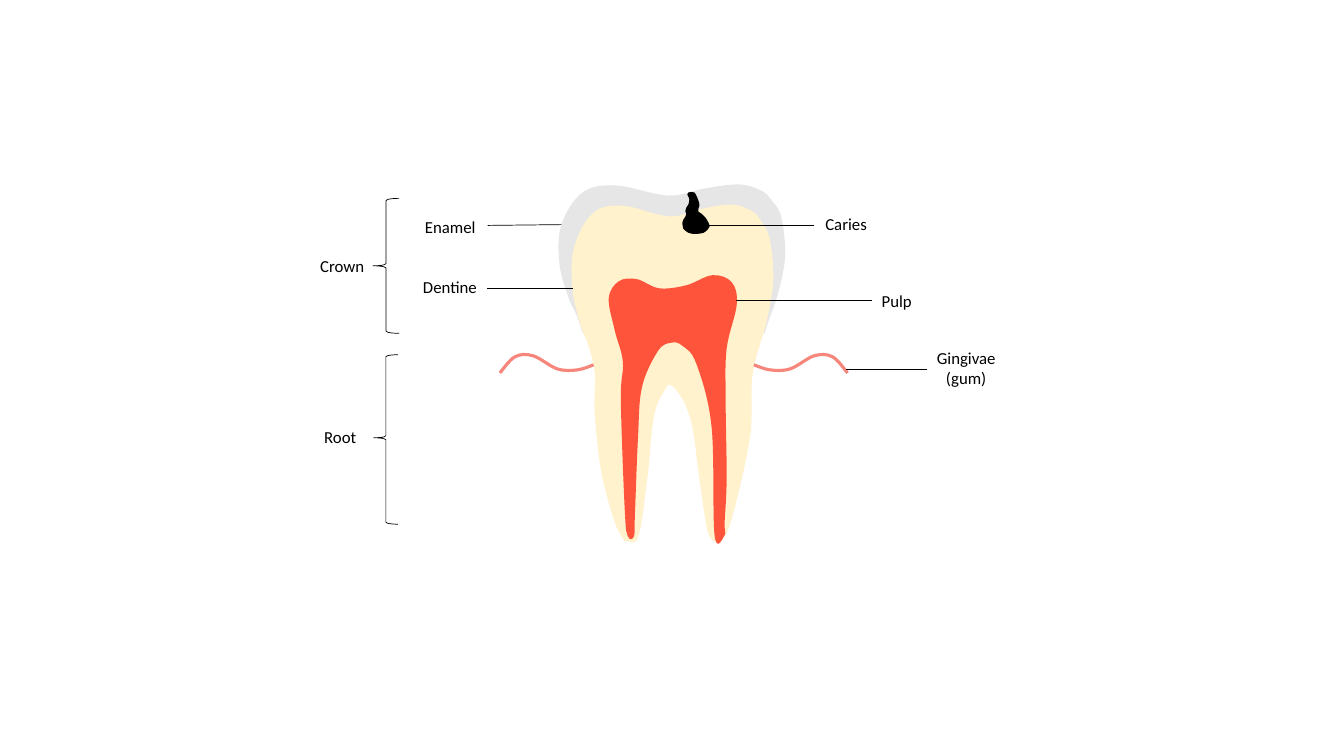
from lxml import etree
from pptx import Presentation
from pptx.dml.color import RGBColor
from pptx.enum.shapes import MSO_CONNECTOR, MSO_SHAPE
from pptx.enum.text import MSO_AUTO_SIZE, PP_ALIGN
from pptx.oxml.ns import qn
from pptx.util import Cm, Pt

STRAIGHT = MSO_CONNECTOR.STRAIGHT
RECTANGLE, LEFT_BRACE = MSO_SHAPE.RECTANGLE, MSO_SHAPE.LEFT_BRACE
LEFT, CENTER = PP_ALIGN.LEFT, PP_ALIGN.CENTER
FIT_TEXT = MSO_AUTO_SIZE.SHAPE_TO_FIT_TEXT

THEME = {
    "font": "Calibri", "label_size": Pt(12),
    "thin": Pt(0.5), "gum_width": Pt(2.25),
    "ink": RGBColor(0x00, 0x00, 0x00),
    "background": RGBColor(0xFF, 0xFF, 0xFF),
    "enamel": RGBColor(0xE7, 0xE6, 0xE6),
    "dentine": RGBColor(0xFF, 0xF2, 0xCC),
    "pulp": RGBColor(0xFE, 0x54, 0x3B),
    "gum": RGBColor(0xF6, 0x86, 0x7B),
}
UNIT = Cm(0.0254)  # one step of the outline grid

prs = Presentation()
prs.slide_width, prs.slide_height = Cm(33.87), Cm(19.05)
slide = prs.slides.add_slide(prs.slide_layouts[6])
shapes = slide.shapes


def add_label(text, left, top, width, height=0.76, align=LEFT):
    label = shapes.add_textbox(Cm(left), Cm(top), Cm(width), Cm(height))
    frame = label.text_frame
    frame.word_wrap = True
    frame.auto_size = FIT_TEXT
    frame.text = text
    for paragraph in frame.paragraphs:
        paragraph.alignment = align
        paragraph.font.name = THEME["font"]
        paragraph.font.size = THEME["label_size"]
        paragraph.font.color.rgb = THEME["ink"]


def add_curve(anchors, color, closed=True):
    """Draw a smooth curve through the anchors: filled if closed, a stroke if open."""
    points = [(UNIT * x, UNIT * y) for x, y in anchors]
    if closed:
        points.append(points[0])
    builder = shapes.build_freeform(*points[0], scale=1.0)
    builder.add_line_segments(points[1:], close=False)
    curve = builder.convert_to_shape()
    curve.shadow.inherit = False

    # Turn the straight segments into Bezier segments
    outline = next(curve._element.iter(qn("a:path")))
    knots = [(int(pt.get("x")), int(pt.get("y"))) for pt in outline.iter(qn("a:pt"))]
    before, after = (knots[-2], knots[1]) if closed else (knots[0], knots[-1])
    knots = [before, *knots, after]
    for straight in list(outline.iter(qn("a:lnTo"))):
        outline.remove(straight)
    for a, b, c, d in zip(knots, knots[1:], knots[2:], knots[3:]):
        bezier = etree.SubElement(outline, qn("a:cubicBezTo"))
        handles = ([b[i] + (c[i] - a[i]) / 6 for i in (0, 1)],
                   [c[i] - (d[i] - b[i]) / 6 for i in (0, 1)])
        for x, y in (*handles, c):
            etree.SubElement(bezier, qn("a:pt"), x=str(round(x)), y=str(round(y)))

    if closed:
        etree.SubElement(outline, qn("a:close"))
        curve.fill.solid()
        curve.fill.fore_color.rgb = color
        curve.line.fill.background()
    else:
        curve.fill.background()
        curve.line.color.rgb = color
        curve.line.width = THEME["gum_width"]


# Enamel
tooth_outline = [
    (663, 194), (611, 184), (578, 191), (557, 223), (555, 261), (564, 295),
    (573, 315), (580, 341), (580, 378), (587, 432), (601, 477), (611, 495),
    (616, 498), (629, 493), (639, 436), (646, 381), (657, 358), (665, 352),
    (679, 367), (689, 392), (696, 436), (703, 476), (707, 492), (713, 498),
    (717, 498), (731, 482), (753, 401), (756, 342), (772, 291), (779, 253),
    (775, 215), (765, 198), (755, 189), (733, 183), (699, 187)]
add_curve(tooth_outline, THEME["enamel"])

# Background panels that end the enamel at the gum
for left, top, width, height in [(12.67, 9.04, 8.92, 4.6),
                                 (12.73, 8.41, 9.17, 0.76)]:
    panel = shapes.add_shape(RECTANGLE, Cm(left), Cm(top), Cm(width), Cm(height))
    panel.shadow.inherit = False
    panel.fill.solid()
    panel.fill.fore_color.rgb = THEME["background"]
    panel.line.fill.background()

# Dentine: the tooth outline, narrower and longer
add_curve([(567 + (x - 554) * 0.89, 203 + (y - 183) * 1.06)
           for x, y in tooth_outline], THEME["dentine"])

# Pulp
add_curve([
    (709, 531), (706, 423), (691, 361), (677, 343), (666, 340), (653, 348),
    (637, 384), (633, 435), (630, 510), (629, 532), (623, 532), (620, 508),
    (616, 397), (618, 359), (610, 328), (604, 296), (614, 279), (632, 277),
    (654, 286), (681, 283), (707, 273), (726, 280), (731, 302), (721, 346),
    (720, 397), (721, 475), (719, 518), (719, 531)], THEME["pulp"])

# Gum, mirrored on both sides of the tooth
left_gum = [(496, 370), (511, 354), (529, 353), (553, 366), (573, 367), (589, 362)]
right_gum = [(1337 - x, y) for x, y in left_gum]
for gum in (left_gum, right_gum):
    add_curve(gum, THEME["gum"], closed=False)

# Caries
add_curve([
    (689, 191), (693, 199), (694, 204), (693, 207), (693, 210), (696, 212),
    (700, 216), (703, 221), (704, 225), (702, 228), (698, 231), (692, 232),
    (687, 232), (683, 231), (680, 229), (678, 227), (677, 221), (678, 218),
    (680, 215), (681, 212), (680, 210), (681, 206), (683, 203), (684, 198),
    (683, 195), (682, 193), (683, 191)], THEME["ink"])

# Leader lines: enamel, dentine, caries, pulp, gum
for x1, y1, x2, y2 in [(14.15, 5.66, 12.29, 5.68), (14.43, 7.26, 12.27, 7.26),
                       (20.52, 5.68, 17.6, 5.68), (21.97, 7.57, 18.54, 7.57),
                       (23.37, 9.3, 21.31, 9.3)]:
    leader = shapes.add_connector(STRAIGHT, Cm(x1), Cm(y1), Cm(x2), Cm(y2))
    leader.line.color.rgb = THEME["ink"]
    leader.line.width = THEME["thin"]
    etree.SubElement(leader._element.spPr, qn("a:effectLst"))

# Crown and root braces
for left, top, width, height, tip in [(9.4, 5, 0.66, 3.4, 0.5),
                                      (9.42, 8.94, 0.61, 4.27, 0.49)]:
    brace = shapes.add_shape(LEFT_BRACE, Cm(left), Cm(top), Cm(width), Cm(height))
    brace.adjustments[1] = tip
    brace.shadow.inherit = False
    brace.fill.background()
    brace.line.color.rgb = THEME["ink"]
    brace.line.width = THEME["thin"]

# Labels
add_label("Enamel", 10.46, 5.33, 1.88)
add_label("Dentine", 10.41, 6.86, 1.88)
add_label("Pulp", 21.97, 7.19, 1.47)
add_label("Caries", 20.55, 5.26, 1.63)
add_label("Gingivae\n(gum)", 23.32, 8.64, 2.06, height=1.27, align=CENTER)
add_label("Crown", 7.82, 6.32, 1.85)
add_label("Root", 7.92, 10.64, 1.85)

prs.save("out.pptx")
